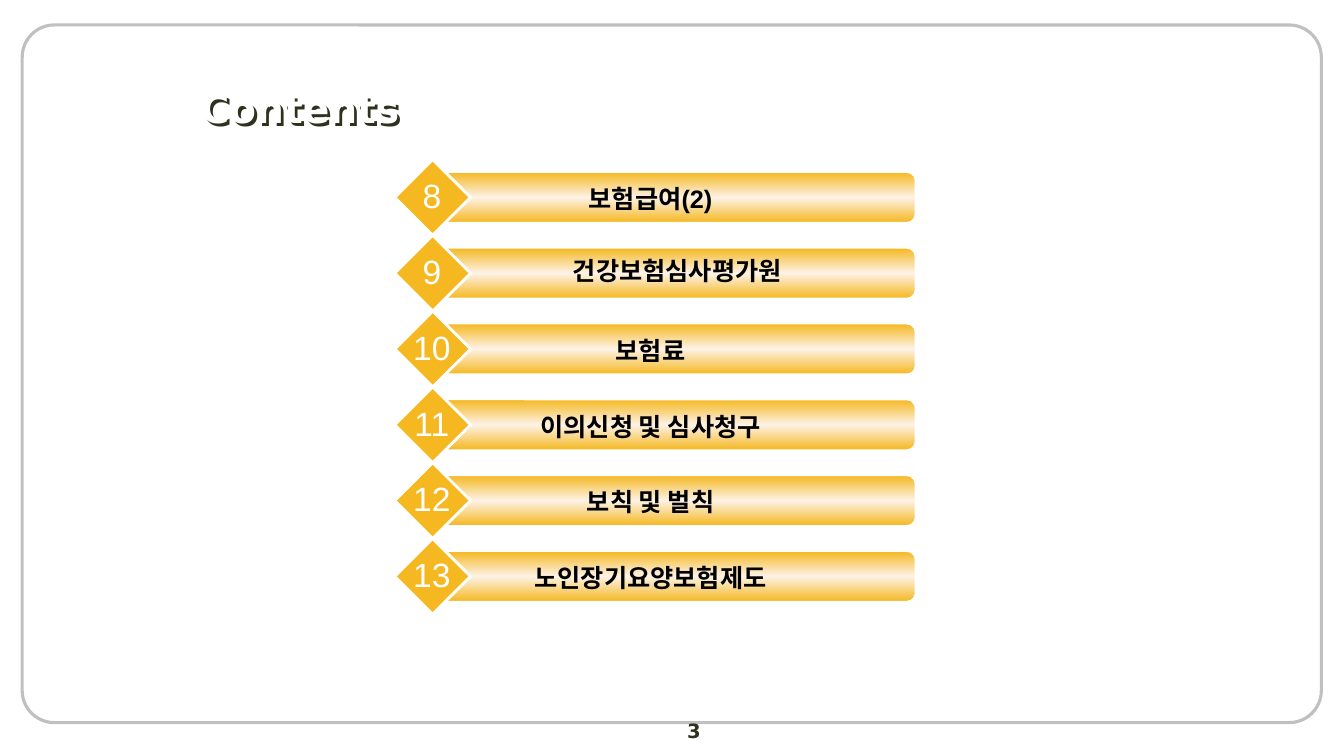
from copy import deepcopy

from lxml import etree
from pptx import Presentation
from pptx.dml.color import RGBColor
from pptx.enum import shapes, text
from pptx.oxml.ns import qn
from pptx.util import Cm, Pt

TITLE = "Contents"
PAGE_NUMBER = "3"
# number, label, label left, label width, label shift (cm)
CHAPTERS = [
    ("8", "보험급여(2)", 11.63, 9.53, 0),
    ("9", "건강보험심사평가원", 14.02, 6.1, -0.1),
    ("10", "보험료", 11.63, 9.53, 0),
    ("11", "이의신청 및 심사청구", 11.63, 9.53, 0),
    ("12", "보칙 및 벌칙", 11.63, 9.53, 0),
    ("13", "노인장기요양보험제도", 11.63, 9.53, 0),
]

WHITE = RGBColor(0xFF, 0xFF, 0xFF)
BLACK = RGBColor(0, 0, 0)
GREY = RGBColor(0xC0, 0xC0, 0xC0)
OLIVE = RGBColor(0x30, 0x31, 0x1D)
AMBER = RGBColor(0xF5, 0xB8, 0x21)
CREAM = RGBColor(0xFD, 0xF2, 0xE6)

FIRST_TOP, DIAMOND_LEFT, DIAMOND_SIZE = 4.02, 9.95, 1.91
BAR_LEFT, BAR_WIDTH, BAR_HEIGHT = 11, 12.07, 1.27
NUMBER_WIDTH, LABEL_HEIGHT = 1.45, 1.02


def write(shape, content, size, color, font="Arial", bold=False,
          align=text.PP_ALIGN.CENTER, wrap=True):
    frame = shape.text_frame
    frame.text = content
    frame.word_wrap = wrap
    paragraph = frame.paragraphs[0]
    paragraph.alignment = align
    run_font = paragraph.runs[0].font
    run_font.name, run_font.size, run_font.bold = font, Pt(size), bold
    run_font.color.rgb = color


def add_text(slide, box, content, size, color, **style):
    write(slide.shapes.add_textbox(*map(Cm, box)), content, size, color, **style)


def add_outlined(slide, kind, box, line_color, line_width):
    shape = slide.shapes.add_shape(kind, *map(Cm, box))
    shape.shadow.inherit = False
    shape.fill.background()
    shape.line.color.rgb = line_color
    shape.line.width = Pt(line_width)
    return shape


def fill_bar(bar):
    """Amber at the top and bottom edges, cream across the middle."""
    bar.fill.gradient()
    bar.fill.gradient_angle = 270
    stop_list = bar.element.find(".//" + qn("a:gsLst"))
    stop_list.insert(1, deepcopy(stop_list[0]))
    colors = (AMBER, CREAM, AMBER)
    for stop, position, color in zip(bar.fill.gradient_stops, (0, 0.5, 1), colors):
        stop.position = position
        stop.color.rgb = color


def add_title(slide):
    title = slide.shapes.title
    title.left, title.top = Cm(4.8), Cm(1.98)
    title.width, title.height = Cm(27.1), Cm(1.47)
    title.text_frame.vertical_anchor = text.MSO_ANCHOR.MIDDLE
    write(title, TITLE, 28, WHITE, font="DejaVu Sans", bold=True,
          align=text.PP_ALIGN.LEFT)
    effects = etree.SubElement(title.element.spPr, qn("a:effectLst"))
    shadow = etree.SubElement(effects, qn("a:outerShdw"), dist="36000",
                              dir="2700000", algn="ctr", rotWithShape="0")
    etree.SubElement(shadow, qn("a:srgbClr"), val=str(OLIVE))


def add_chapter(slide, top, number, label, label_left, label_width, shift):
    bar_top = top + (DIAMOND_SIZE - BAR_HEIGHT) / 2
    bar = add_outlined(slide, shapes.MSO_SHAPE.ROUNDED_RECTANGLE,
                       (BAR_LEFT, bar_top, BAR_WIDTH, BAR_HEIGHT), WHITE, 1)
    fill_bar(bar)
    diamond = add_outlined(slide, shapes.MSO_SHAPE.DIAMOND,
                           (DIAMOND_LEFT, top, DIAMOND_SIZE, DIAMOND_SIZE), WHITE, 2)
    diamond.fill.solid()
    diamond.fill.fore_color.rgb = AMBER
    number_left = DIAMOND_LEFT + (DIAMOND_SIZE - NUMBER_WIDTH) / 2 - 0.02
    add_text(slide, (number_left, bar_top - 0.05, NUMBER_WIDTH, BAR_HEIGHT),
             number, 24, WHITE, wrap=False)
    add_text(slide, (label_left, bar_top + 0.16 + shift, label_width, LABEL_HEIGHT),
             label, 18, BLACK, bold=True)


def main():
    presentation = Presentation()
    presentation.slide_width, presentation.slide_height = Cm(33.87), Cm(19.05)
    slide = presentation.slides.add_slide(presentation.slide_layouts[5])
    border = add_outlined(slide, shapes.MSO_SHAPE.ROUNDED_RECTANGLE,
                          (0.56, 0.63, 32.74, 17.58), GREY, 2.25)
    border.adjustments[0] = 0.046
    add_text(slide, (13.54, 17.98, 7.9, 0.69), PAGE_NUMBER, 14, OLIVE,
             font="DejaVu Sans", bold=True)
    add_title(slide)
    for row, chapter in enumerate(CHAPTERS):
        add_chapter(slide, FIRST_TOP + row * DIAMOND_SIZE, *chapter)
    presentation.save("out.pptx")


if __name__ == "__main__":
    main()
